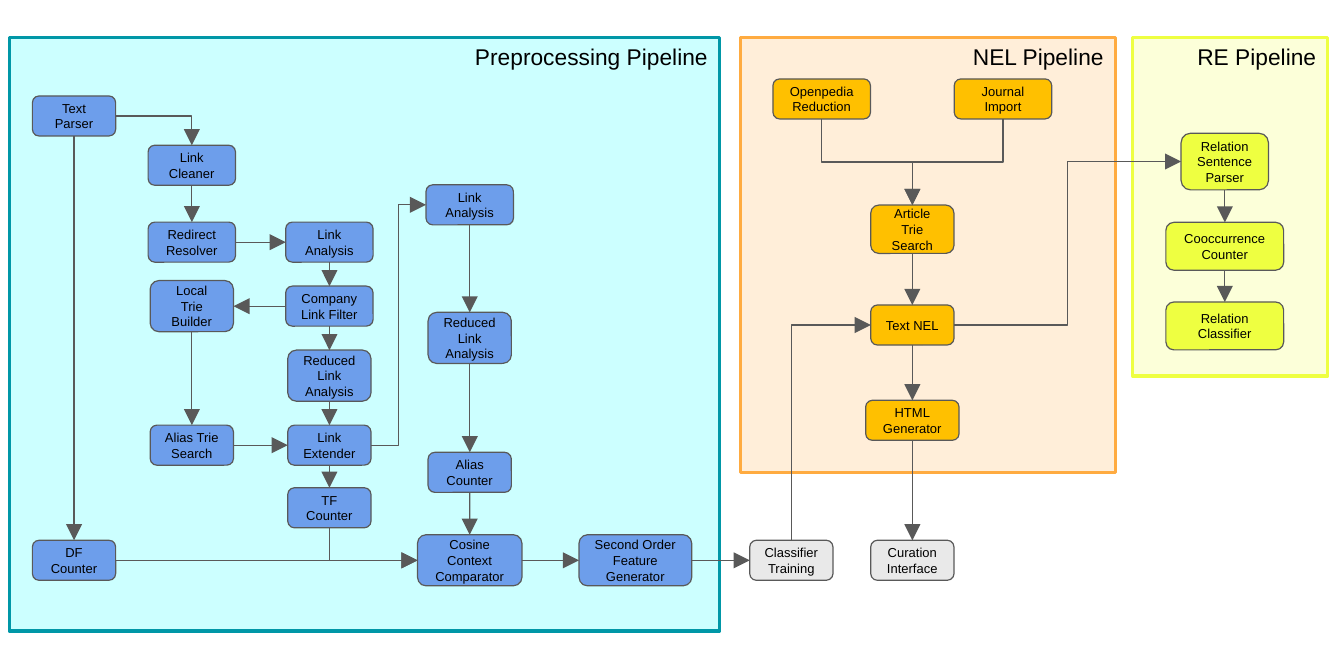
import dataclasses

import lxml.etree
import pptx
import pptx.dml.color
import pptx.enum.shapes
import pptx.enum.text
import pptx.oxml.ns
import pptx.util

Cm = pptx.util.Cm
Pt = pptx.util.Pt
qn = pptx.oxml.ns.qn
SHAPE = pptx.enum.shapes.MSO_SHAPE
JOIN = pptx.enum.shapes.MSO_CONNECTOR
ALIGN = pptx.enum.text.PP_ALIGN
ANCHOR = pptx.enum.text.MSO_ANCHOR
TOP, LEFT, BASE, RIGHT = range(4)


@dataclasses.dataclass(frozen=True)
class Theme:
    font: str = "Arial"
    head: int = 14
    body: int = 8
    frame: float = 2
    thin: float = 0.75
    ink: str = "000000"
    edge: str = "595959"
    blue: str = "6D9EEB"
    gold: str = "FFC000"
    lime: str = "EEFF41"
    gray: str = "E9E9E9"
    aqua: str = "CCFFFF"
    teal: str = "0097A7"
    peach: str = "FFEED9"
    rust: str = "FFAB40"
    cream: str = "FCFFD9"


theme = Theme()


def tint(code):
    return pptx.dml.color.RGBColor.from_string(code)


def block(slide, kind, box, fill, edge, width, text, size, align):
    shape = slide.shapes.add_shape(kind, *[Cm(side) for side in box])
    shape.shadow.inherit = False
    shape.fill.solid()
    shape.fill.fore_color.rgb = tint(fill)
    shape.line.color.rgb = tint(edge)
    shape.line.width = Pt(width)
    frame = shape.text_frame
    frame.word_wrap = True
    frame.text = text
    for para in frame.paragraphs:
        para.alignment = align
        para.font.name = theme.font
        para.font.size = Pt(size)
        para.font.color.rgb = tint(theme.ink)
    return shape


def panel(slide, box, fill, edge, title):
    shape = block(slide, SHAPE.RECTANGLE, box, fill, edge, theme.frame,
                  title, theme.head, ALIGN.RIGHT)
    shape.text_frame.vertical_anchor = ANCHOR.TOP


def steps(slide, box, fill, rows):
    nodes = {}
    for key, text, x, y, wide, high in rows:
        spot = (box[0] + x - wide / 2, box[1] + y - high / 2, wide, high)
        shape = block(slide, SHAPE.ROUNDED_RECTANGLE, spot, fill, theme.edge,
                      theme.thin, text, theme.body, ALIGN.CENTER)
        frame = shape.text_frame
        frame.vertical_anchor = ANCHOR.MIDDLE
        frame.margin_left = frame.margin_right = Cm(0.25)
        frame.margin_top = frame.margin_bottom = Cm(0.25)
        nodes[key] = shape
    return nodes


def turn(line):
    x1, y1, x2, y2 = line.begin_x, line.begin_y, line.end_x, line.end_y
    wide, high = abs(y2 - y1), abs(x2 - x1)
    line.left, line.top = (x1 + x2 - wide) // 2, (y1 + y2 - high) // 2
    line.width, line.height = wide, high
    form = line.element.spPr.find(qn("a:xfrm"))
    form.set("rot", "5400000")
    form.set("flipH", str(int(y2 < y1)))
    form.set("flipV", str(int(x2 > x1)))


def link(slide, nodes, start, exit, end, entry):
    line = slide.shapes.add_connector(JOIN.STRAIGHT, 0, 0, 0, 0)
    line.begin_connect(nodes[start], exit)
    line.end_connect(nodes[end], entry)
    line.line.color.rgb = tint(theme.edge)
    line.line.width = Pt(theme.thin)
    props = line.element.spPr
    tail = lxml.etree.SubElement(props.find(qn("a:ln")), qn("a:tailEnd"))
    for name, value in (("type", "triangle"), ("w", "lg"), ("len", "lg")):
        tail.set(name, value)
    lxml.etree.SubElement(props, qn("a:effectLst"))
    shift = min(abs(line.end_x - line.begin_x), abs(line.end_y - line.begin_y))
    if shift > Cm(0.05):
        corner = exit % 2 != entry % 2
        bend = "bentConnector2" if corner else "bentConnector3"
        props.find(qn("a:prstGeom")).set("prst", bend)
        if exit in (TOP, BASE):
            turn(line)


def chain(slide, nodes, *keys):
    for start, end in zip(keys, keys[1:]):
        link(slide, nodes, start, BASE, end, TOP)


def prep(slide, box):
    panel(slide, box, theme.aqua, theme.teal, "Preprocessing Pipeline")
    a, b, c, d, e = 1.41, 3.97, 6.96, 10.01, 13.61
    slim, mid, low, tall = 1.81, 1.9, 0.87, 1.11
    nodes = steps(slide, box, theme.blue, [
        ("text", "Text Parser", a, 1.71, slim, low),
        ("df", "DF Counter", a, 11.36, slim, low),
        ("clean", "Link Cleaner", b, 2.78, mid, low),
        ("route", "Redirect Resolver", b, 4.45, mid, low),
        ("trie", "Local Trie Builder", b, 5.84, slim, tall),
        ("alias", "Alias Trie Search", b, 8.86, slim, low),
        ("links", "Link Analysis", c, 4.45, mid, low),
        ("firm", "Company Link Filter", c, 5.84, mid, low),
        ("less", "Reduced Link Analysis", c, 7.35, slim, tall),
        ("more", "Link Extender", c, 8.86, slim, low),
        ("tf", "TF Counter", c, 10.22, slim, low),
        ("links2", "Link Analysis", d, 3.64, mid, low),
        ("less2", "Reduced Link Analysis", d, 6.53, slim, tall),
        ("count", "Alias Counter", d, 9.45, slim, low),
        ("cosine", "Cosine Context Comparator", d, 11.36, 2.27, tall),
        ("second", "Second Order Feature Generator", e, 11.36, 2.45, tall),
    ])
    chain(slide, nodes, "text", "df")
    chain(slide, nodes, "clean", "route")
    chain(slide, nodes, "trie", "alias")
    chain(slide, nodes, "links", "firm", "less", "more", "tf")
    chain(slide, nodes, "links2", "less2", "count", "cosine")
    for start, end in (("route", "links"), ("alias", "more"),
                       ("more", "links2"), ("df", "cosine"),
                       ("cosine", "second")):
        link(slide, nodes, start, RIGHT, end, LEFT)
    link(slide, nodes, "firm", LEFT, "trie", RIGHT)
    link(slide, nodes, "text", RIGHT, "clean", TOP)
    link(slide, nodes, "tf", BASE, "cosine", LEFT)
    return nodes


def entity(slide, box):
    panel(slide, box, theme.peach, theme.rust, "NEL Pipeline")
    mid = 3.74
    nodes = steps(slide, box, theme.gold, [
        ("wiki", "Openpedia Reduction", mid - 1.97, 1.34, 2.12, 0.87),
        ("news", "Journal Import", mid + 1.97, 1.34, 2.12, 0.87),
        ("find", "Article\nTrie\nSearch", mid, 4.17, 1.81, 1.05),
        ("nel", "Text NEL", mid, 6.25, 1.81, 0.87),
        ("html", "HTML\nGenerator", mid, 8.32, 2.03, 0.87),
    ])
    chain(slide, nodes, "wiki", "find", "nel", "html")
    chain(slide, nodes, "news", "find")
    return nodes


def relate(slide, box):
    panel(slide, box, theme.cream, theme.lime, "RE Pipeline")
    mid = 2
    nodes = steps(slide, box, theme.lime, [
        ("parser", "Relation Sentence Parser", mid, 2.7, 1.9, 1.23),
        ("pairs", "Cooccurrence Counter", mid, 4.54, 2.56, 1.04),
        ("class", "Relation\nClassifier", mid, 6.27, 2.56, 1.04),
    ])
    chain(slide, nodes, "parser", "pairs", "class")
    return nodes


def outer(slide, box):
    return steps(slide, box, theme.gray, [
        ("train", "Classifier Training", 1.11, 0.67, 1.81, 0.87),
        ("face", "Curation Interface", 3.74, 0.67, 1.81, 0.87),
    ])


def main():
    deck = pptx.Presentation()
    deck.slide_width, deck.slide_height = Cm(29.21), Cm(14.27)
    slide = deck.slides.add_slide(deck.slide_layouts[6])
    nodes = {}
    nodes.update(prep(slide, (0.2, 0.81, 15.44, 12.9)))
    nodes.update(entity(slide, (16.09, 0.81, 8.15, 9.45)))
    nodes.update(relate(slide, (24.62, 0.81, 4.24, 7.36)))
    nodes.update(outer(slide, (16.09, 11.5, 4.65, 1.34)))
    link(slide, nodes, "second", RIGHT, "train", LEFT)
    link(slide, nodes, "train", TOP, "nel", LEFT)
    link(slide, nodes, "nel", RIGHT, "parser", LEFT)
    chain(slide, nodes, "html", "face")
    deck.save("out.pptx")


if __name__ == "__main__":
    main()
